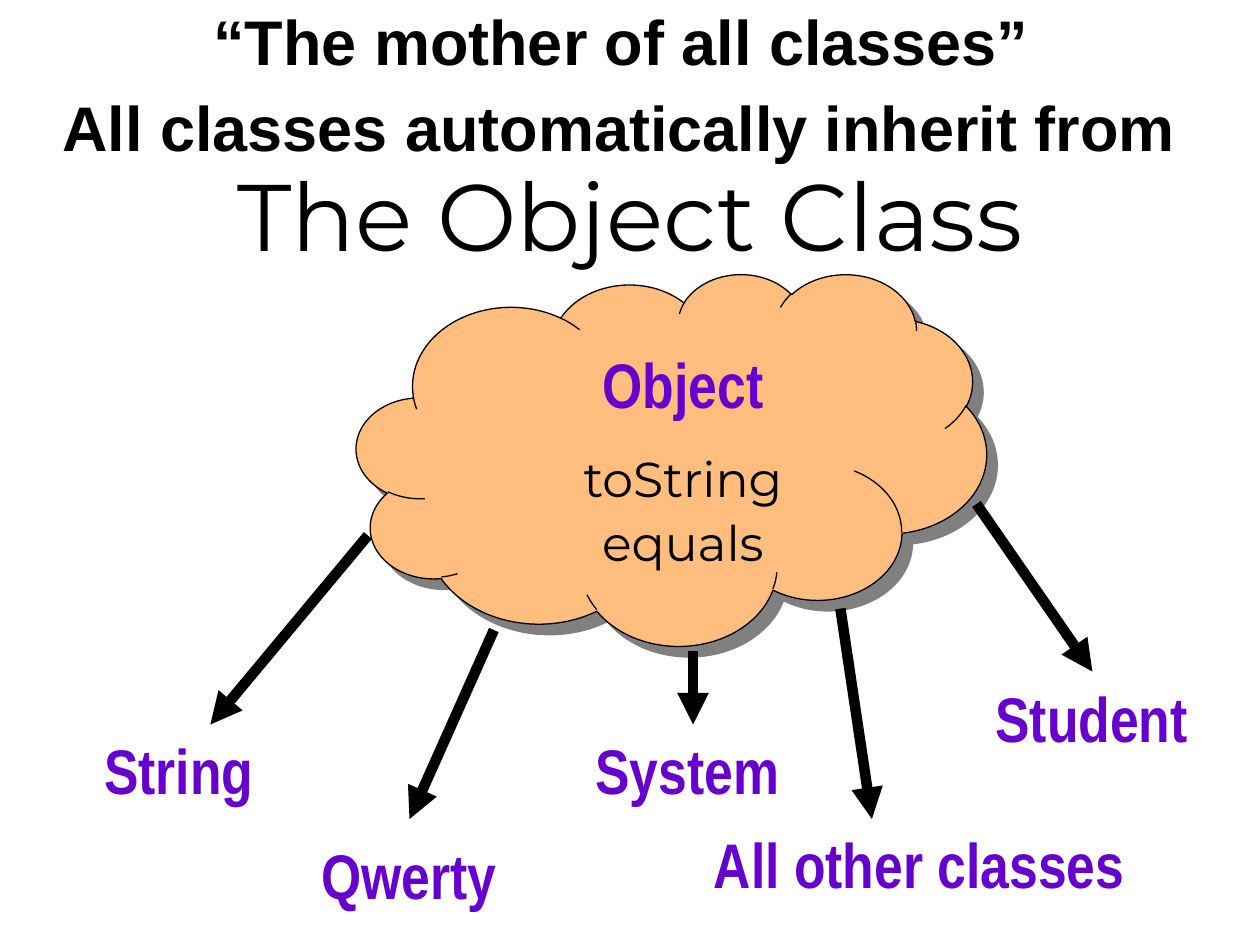
from dataclasses import dataclass

from lxml.etree import SubElement
from pptx import Presentation
from pptx.dml.color import RGBColor as RGB
from pptx.enum.shapes import MSO_CONNECTOR as LINK, MSO_SHAPE as SHAPE
from pptx.enum.text import MSO_ANCHOR as ANCHOR, PP_ALIGN as ALIGN
from pptx.oxml.ns import qn
from pptx.slide import Slide
from pptx.util import Inches, Pt

COLORS = {"ink": "000000", "name": "6600CC", "cloud": "FFBE7D", "shade": "808080"}


@dataclass
class Label:
    text: str
    left: float
    top: float
    width: float
    height: float = 0.66


@dataclass
class Arrow:
    start: tuple[float, float]
    end: tuple[float, float]


@dataclass
class Style:
    font: str
    size: float
    color: str = "ink"
    bold: bool = False


NAME = Style("Arial Narrow", 36, "name", True)
METHOD = Style("Montserrat", 28)
LEAD = Style("Arial", 36, bold=True)
GAP = Style("Montserrat", 48)
TITLE = Style("Montserrat", 54)

LABELS = [
    Label("Object", 3.92, 2.69, 3, 0.74),
    Label("Qwerty", 2.33, 6.59, 1.83),
    Label("String", 0.67, 5.76, 1.5),
    Label("Student", 7.75, 5.34, 1.83),
    Label("All other classes", 5.42, 6.5, 3.75, 0.75),
    Label("System", 4.58, 5.76, 1.75),
]
ARROWS = [
    Arrow((2.92, 4.25), (1.67, 5.75)),
    Arrow((3.92, 5), (3.25, 6.5)),
    Arrow((7.75, 4), (8.67, 5.33)),
    Arrow((5.5, 5.17), (5.5, 5.75)),
    Arrow((6.67, 4.83), (6.92, 6.5)),
]


def color(key: str) -> RGB:
    return RGB.from_string(COLORS[key])


def add_run(para, text: str, style: Style) -> None:
    run = para.add_run()
    run.text = text
    font = run.font
    font.name, font.size, font.bold = style.font, Pt(style.size), style.bold
    font.color.rgb = color(style.color)


def add_box(slide: Slide, left: float, top: float, width: float, height: float, wrap: bool = True):
    box = slide.shapes.add_textbox(Inches(left), Inches(top), Inches(width), Inches(height))
    frame = box.text_frame
    frame.word_wrap = wrap
    frame.paragraphs[0].alignment = ALIGN.CENTER
    return frame


def draw_cloud(slide: Slide) -> None:
    cloud = slide.shapes.add_shape(SHAPE.CLOUD, Inches(2.83), Inches(2.17), Inches(5), Inches(2.95))
    cloud.fill.solid()
    cloud.fill.fore_color.rgb = color("cloud")
    cloud.line.color.rgb = color("ink")
    cloud.line.width = Pt(0.75)
    cloud.shadow.inherit = False
    effects = cloud._element.spPr.find(qn("a:effectLst"))
    shade = SubElement(effects, qn("a:outerShdw"), dist=str(Pt(8.5)), dir="2700000",
                       algn="ctr", rotWithShape="0")
    SubElement(shade, qn("a:srgbClr"), val=COLORS["shade"])


def draw_label(slide: Slide, label: Label) -> None:
    frame = add_box(slide, label.left, label.top, label.width, label.height, wrap=False)
    add_run(frame.paragraphs[0], label.text, NAME)


def draw_methods(slide: Slide) -> None:
    frame = add_box(slide, 4.17, 3.6, 2.5, 0.99)
    first, second = frame.paragraphs[0], frame.add_paragraph()
    for para, text, space in ((first, "toString", 0.8), (second, "equals", 0.6)):
        para.alignment = ALIGN.CENTER
        para.line_spacing = space
        para.space_before = Pt(15)
        add_run(para, text, METHOD)


def draw_arrow(slide: Slide, arrow: Arrow) -> None:
    ends = [Inches(value) for value in arrow.start + arrow.end]
    link = slide.shapes.add_connector(LINK.STRAIGHT, *ends)
    link.line.color.rgb = color("ink")
    link.line.width = Pt(6)
    SubElement(link.line._get_or_add_ln(), qn("a:tailEnd"), type="triangle")
    SubElement(link._element.spPr, qn("a:effectLst"))


def draw_title(slide: Slide) -> None:
    frame = add_box(slide, 0, 0, 10, 2.25)
    frame.vertical_anchor = ANCHOR.MIDDLE
    para = frame.paragraphs[0]
    para.line_spacing = 0.9
    add_run(para, "“The mother of all classes” ", LEAD)
    para.add_line_break()
    add_run(para, "All classes automatically inherit from", LEAD)
    add_run(para, " ", GAP)
    para.add_line_break()
    add_run(para, "The Object Class", TITLE)


def main() -> None:
    deck = Presentation()
    deck.slide_width, deck.slide_height = Inches(10), Inches(7.5)
    slide = deck.slides.add_slide(deck.slide_layouts[6])
    draw_cloud(slide)
    for label in LABELS:
        draw_label(slide, label)
    draw_methods(slide)
    for arrow in ARROWS:
        draw_arrow(slide, arrow)
    draw_title(slide)
    deck.save("out.pptx")


if __name__ == "__main__":
    main()
